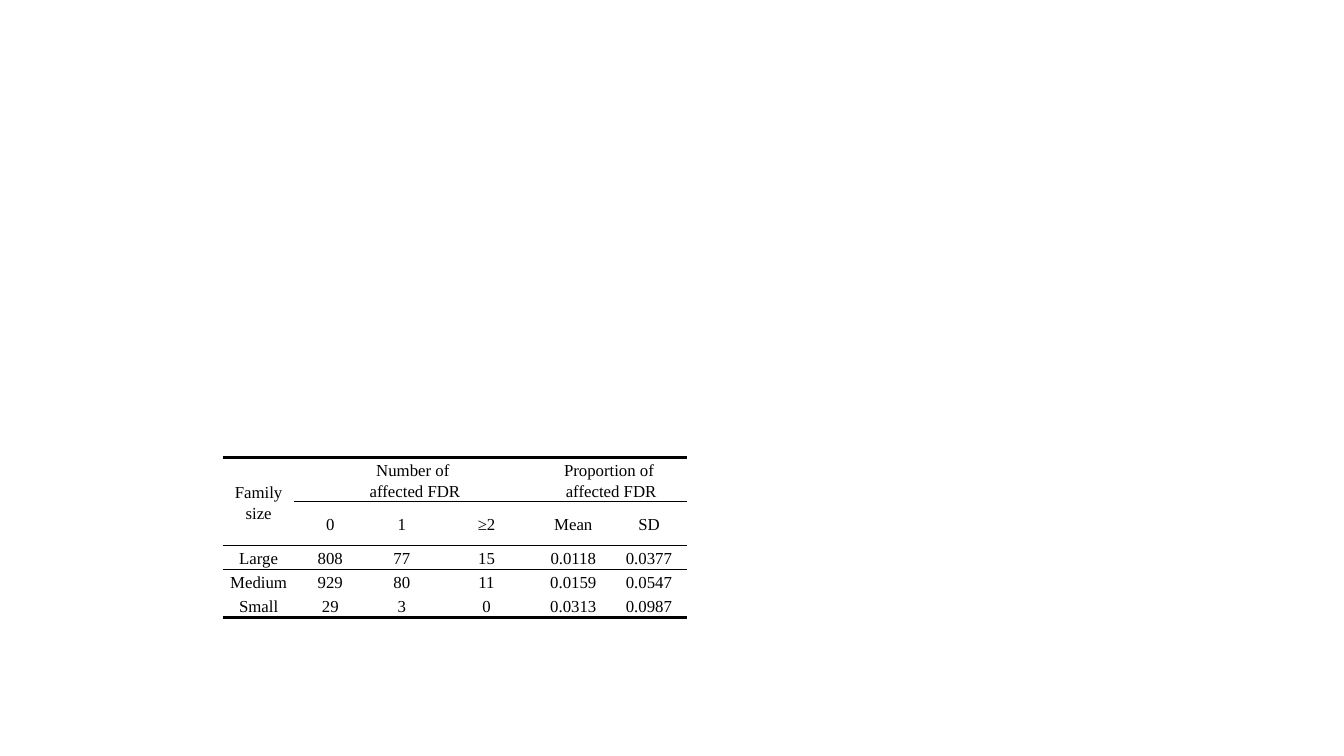
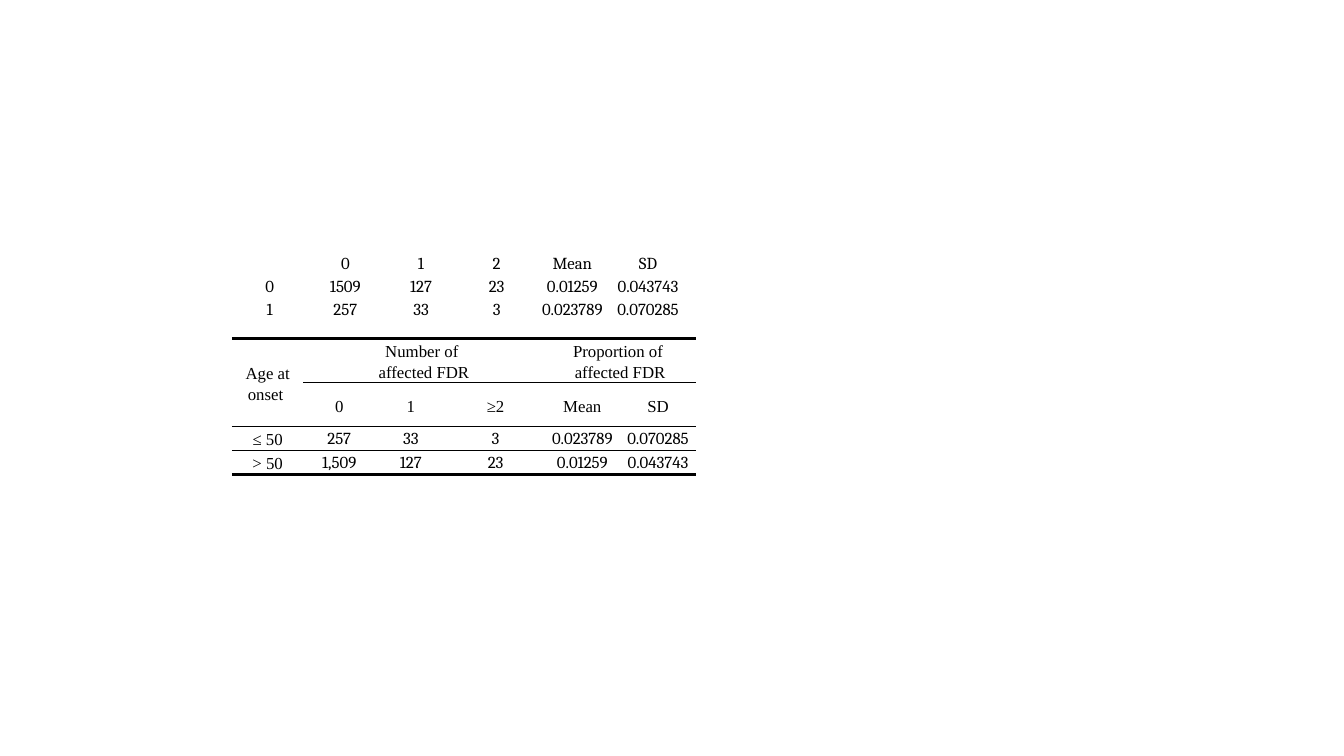
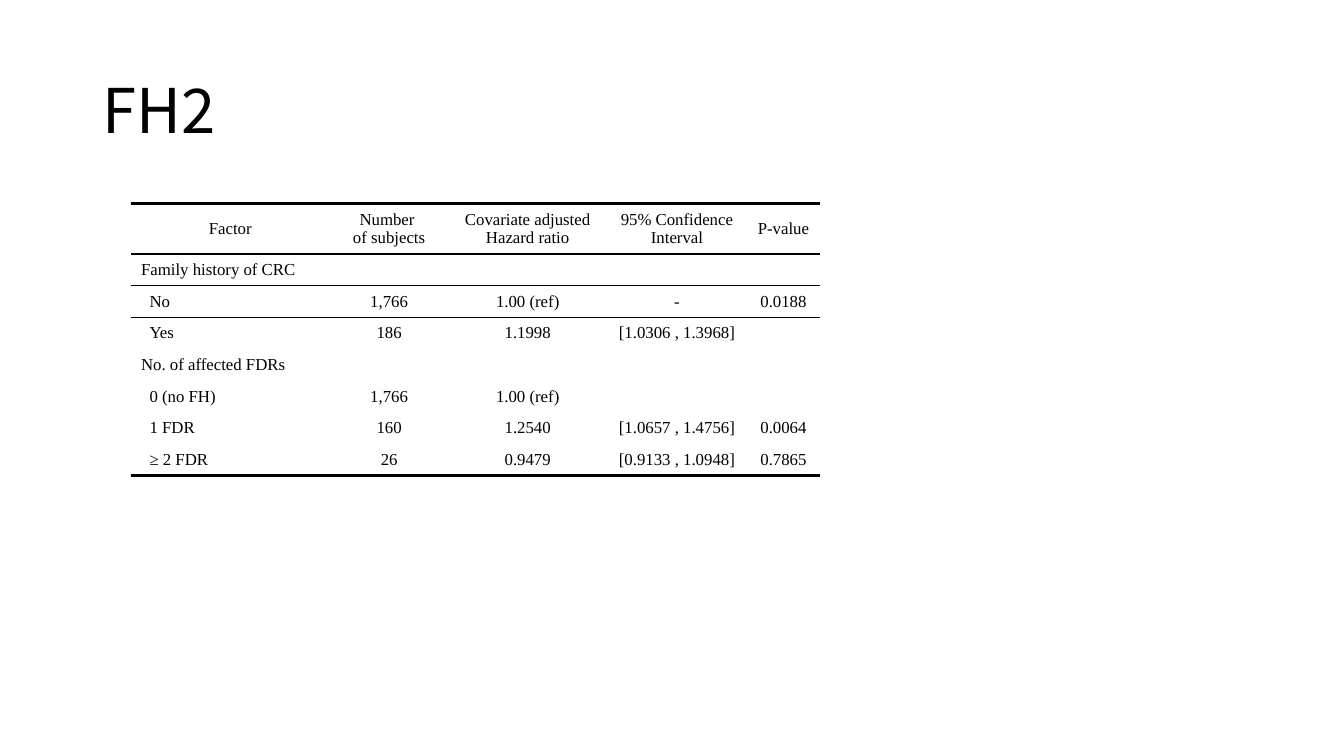
import pptx
import pptx.dml.color
import pptx.enum.text
import pptx.oxml.ns
import pptx.util
import lxml.etree

ALIGN = pptx.enum.text.PP_ALIGN
MIDDLE = pptx.enum.text.MSO_ANCHOR.MIDDLE
PLAIN = "{2D5ABB26-0587-4C30-8999-92F81FD0307C}"
INK = "000000"
SERIF = "Times New Roman"
THICK, THIN = 2.25, 1


def tint(code):
    return pptx.dml.color.RGBColor.from_string(code)


def write(frame, text, font=SERIF, size=12, color=INK, align=ALIGN.CENTER, lead=1.0, dent=0):
    frame.text = text
    for para in frame.paragraphs:
        para.alignment = align
        para.line_spacing = lead
        if dent:
            para._p.get_or_add_pPr().set("marL", str(pptx.util.Pt(dent)))
        if not para.runs:
            para._p.get_or_add_endParaRPr().set("sz", str(size * 100))
        for run in para.runs:
            run.font.name = font
            run.font.size = pptx.util.Pt(size)
            run.font.color.rgb = tint(color)


def edge(cell, side, width):
    line = lxml.etree.SubElement(cell._tc.get_or_add_tcPr(), pptx.oxml.ns.qn("a:" + side))
    line.set("w", str(pptx.util.Pt(width)))
    fill = lxml.etree.SubElement(line, pptx.oxml.ns.qn("a:solidFill"))
    lxml.etree.SubElement(fill, pptx.oxml.ns.qn("a:srgbClr")).set("val", INK)


class Deck:
    """Holds the deck style and current slide; lengths are percentages of the slide."""

    def __init__(self):
        self.show = pptx.Presentation()
        self.show.slide_width = pptx.util.Inches(13.33)
        self.show.slide_height = pptx.util.Inches(7.5)
        self.page = None

    def wide(self, share):
        return int(self.show.slide_width * share / 100)

    def high(self, share):
        return int(self.show.slide_height * share / 100)

    def add(self):
        self.page = self.show.slides.add_slide(self.show.slide_layouts[6])

    def title(self, text):
        box = self.page.shapes.add_textbox(
            self.wide(6.9), self.high(5.33), self.wide(86.25), self.high(19.33))
        box.text_frame.word_wrap = True
        box.text_frame.vertical_anchor = MIDDLE
        write(box.text_frame, text, font="Noto Sans CJK KR", size=44, align=ALIGN.LEFT, lead=0.9)

    def table(self, left, top, cols, rows, data, look, rules=(), spans=(), tight=True):
        grid = self.page.shapes.add_table(
            len(rows), len(cols), self.wide(left), self.high(top),
            self.wide(sum(cols)), self.high(sum(rows))).table
        grid.first_row = grid.horz_banding = False
        grid._tbl.tblPr.find(pptx.oxml.ns.qn("a:tableStyleId")).text = PLAIN
        for col, share in zip(grid.columns, cols):
            col.width = self.wide(share)
        for row, share in zip(grid.rows, rows):
            row.height = self.high(share)
        for first, last in spans:
            grid.cell(*first).merge(grid.cell(*last))
        for r, line in enumerate(data):
            for c, text in enumerate(line.split("|")):
                cell = grid.cell(r, c)
                write(cell.text_frame, text, **look(r, c, text))
                cell.vertical_anchor = MIDDLE
                if tight:
                    cell.margin_left = cell.margin_right = cell.margin_top = pptx.util.Inches(0.01)
                    cell.margin_bottom = 0
        for at, start, width in rules:
            for c in range(start, len(cols)):
                if at > 0:
                    edge(grid.cell(at - 1, c), "lnB", width)
                if at < len(rows):
                    edge(grid.cell(at, c), "lnT", width)
        for cell in grid.iter_cells():
            cell.fill.background()

    def count(self, left, top, head, body, font=SERIF):
        def look(r, c, text):
            if r > 1 and c and font != SERIF:
                return {"font": font}
            return {"lead": 1.15}

        data = [head + "|Number of \naffected FDR|||Proportion of \naffected FDR|",
                "|0|1|≥2|Mean|SD"] + body
        self.table(
            left, top, [5.33] * 3 + [7.28] + [5.63] * 2, [5.81] * 2 + [3.17] * len(body),
            data, look,
            rules=[(0, 0, THICK), (1, 1, THIN), (2, 0, THIN), (len(data), 0, THICK)],
            spans=[((0, 0), (1, 0)), ((0, 1), (0, 3)), ((0, 4), (0, 5))])


deck = Deck()

deck.add()
deck.count(16.58, 60.53, "Family size", [
    "Large|808|77|15|0.0118|0.0377",
    "Medium|929|80|11|0.0159|0.0547",
    "Small|29|3|0|0.0313|0.0987"])

deck.add()
deck.count(17.25, 44.8, "Age at onset ", [
    "≤ 50|257|33|3|0.023789|0.070285",
    "> 50|1,509|127|23|0.01259|0.043743"], font="Cambria")
deck.table(17.25, 33.33, [5.63] * 6, [3.07] * 3, [
    "|0|1|2|Mean|SD",
    "0|1509|127|23|0.01259|0.043743",
    "1|257|33|3|0.023789|0.070285"], lambda r, c, text: {"font": "Cambria"})


def factor(r, c, text):
    if r == 0 or c:
        return {}
    return {"align": ALIGN.JUSTIFY, "dent": 0 if r in (1, 4) else 6}


deck.add()
deck.title("FH2")
deck.table(9.75, 26.93, [14.78, 8.85, 11.78, 10.43, 5.42], [6.27] + [4.19] * 7, [
    "Factor|Number \nof subjects|Covariate adjusted\nHazard ratio|95% Confidence\nInterval|P-value",
    "Family history of CRC||||",
    "No|1,766|1.00 (ref)|-|0.0188",
    "Yes|186|1.1998|[1.0306 , 1.3968]|",
    "No. of affected FDRs||||",
    "0 (no FH)|1,766|1.00 (ref)||",
    "1 FDR|160|1.2540|[1.0657 , 1.4756]|0.0064",
    "≥ 2 FDR|26|0.9479|[0.9133 , 1.0948]|0.7865"], factor,
    rules=[(0, 0, THICK), (1, 0, THIN), (2, 0, THIN), (8, 0, THICK)], tight=False)

deck.show.save("out.pptx")
